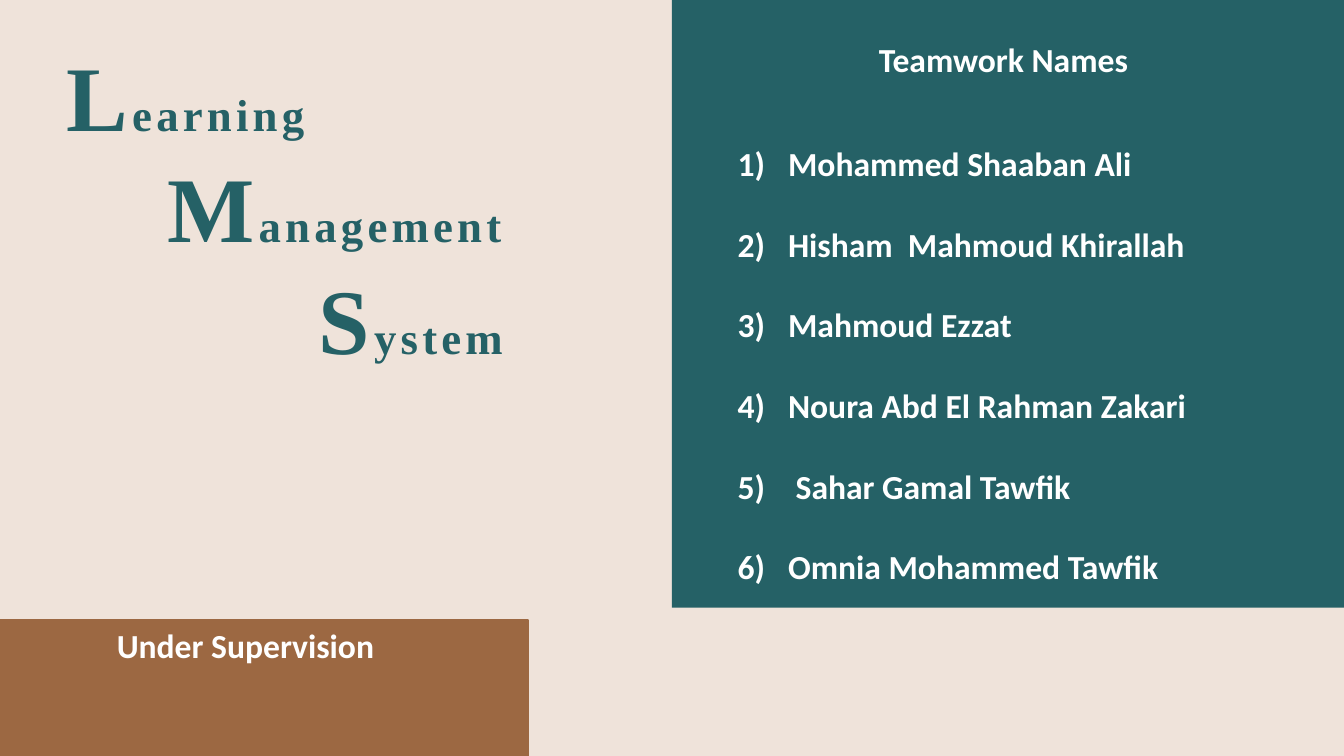
from lxml import etree
from pptx import Presentation
from pptx.dml.color import RGBColor
from pptx.enum.shapes import MSO_SHAPE
from pptx.enum.text import MSO_AUTO_SIZE
from pptx.oxml.ns import qn
from pptx.util import Inches, Pt

RECTANGLE = MSO_SHAPE.RECTANGLE
GROW = MSO_AUTO_SIZE.SHAPE_TO_FIT_TEXT
COLORS = {"sand": "EFE3DA", "teal": "256166", "brown": "9C6842", "white": "FFFFFF"}
TITLE_FONT = "Times New Roman"
BODY_FONT = "Calibri"
TITLE_LINES = [("L", "earning", 0), ("M", "anagement", 1), ("S", "ystem", 2.5)]
TEAM = [
    "Mohammed Shaaban Ali",
    "Hisham  Mahmoud Khirallah",
    "Mahmoud Ezzat",
    "Noura Abd El Rahman Zakari",
    " Sahar Gamal Tawfik",
    "Omnia Mohammed Tawfik",
]


class CoverSlide:
    def __init__(self, presentation):
        self.width = presentation.slide_width
        self.height = presentation.slide_height
        self.slide = presentation.slides.add_slide(presentation.slide_layouts[6])
        fill = self.slide.background.fill
        fill.solid()
        fill.fore_color.rgb = self.color("sand")

    def color(self, name):
        return RGBColor.from_string(COLORS[name])

    def place(self, left, top, width, height):
        return (
            round(self.width * left / 100),
            round(self.height * top / 100),
            round(self.width * width / 100),
            round(self.height * height / 100),
        )

    def panel(self, percent_box, color, outlined=False):
        shape = self.slide.shapes.add_shape(RECTANGLE, *self.place(*percent_box))
        shape.shadow.inherit = False
        shape.fill.solid()
        shape.fill.fore_color.rgb = self.color(color)
        if outlined:
            shape.line.color.rgb = self.color(color)
            shape.line.width = Pt(1)
        else:
            shape.line.fill.background()

    def text_frame(self, percent_box, text):
        text_frame = self.slide.shapes.add_textbox(*self.place(*percent_box)).text_frame
        text_frame.word_wrap = True
        text_frame.auto_size = GROW
        text_frame.text = text
        return text_frame

    def format_run(self, run, size, font, color):
        run.font.size = Pt(size)
        run.font.name = font
        run.font.bold = True
        run.font.color.rgb = self.color(color)

    def indent(self, paragraph, margin, first_line=0):
        properties = paragraph._p.get_or_add_pPr()
        properties.set("marL", str(Inches(margin)))
        properties.set("indent", str(Inches(first_line)))
        return properties

    def stepped_title(self, percent_box, lines):
        initials = "\n".join(initial for initial, rest, step in lines)
        text_frame = self.text_frame(percent_box, initials)
        for paragraph, (initial, rest, step) in zip(text_frame.paragraphs, lines):
            paragraph.add_run().text = rest
            paragraph.line_spacing = Pt(79.4)
            self.indent(paragraph, step)
            for run, size in zip(paragraph.runs, (66, 32)):
                self.format_run(run, size, TITLE_FONT, "teal")
                run.font._element.set("spc", "300")

    def label(self, percent_box, text):
        text_frame = self.text_frame(percent_box, text)
        for paragraph in text_frame.paragraphs:
            for run in paragraph.runs:
                self.format_run(run, 24, BODY_FONT, "white")
        return text_frame

    def numbered_list(self, percent_box, items):
        for paragraph in self.label(percent_box, "\n".join(items)).paragraphs:
            paragraph.line_spacing = 2.0
            properties = self.indent(paragraph, 0.5, -0.5)
            etree.SubElement(properties, qn("a:buFont"), typeface="+mj-lt")
            etree.SubElement(properties, qn("a:buAutoNum"), type="arabicParenR")


def main():
    presentation = Presentation()
    presentation.slide_width = Inches(13.33)
    presentation.slide_height = Inches(7.5)
    cover = CoverSlide(presentation)
    cover.stepped_title((4.2, 4.53, 41.6, 45.73), TITLE_LINES)
    cover.panel((50, 0, 50, 80.4), "teal")
    cover.panel((0, 82, 39.3, 18), "brown", outlined=True)
    cover.label((7.95, 82, 23.4, 6.67), "Under Supervision")
    cover.label((64.65, 4.53, 23.4, 6.67), "Teamwork Names")
    cover.numbered_list((54.15, 12.93, 39.7, 64.4), TEAM)
    presentation.save("out.pptx")


if __name__ == "__main__":
    main()
